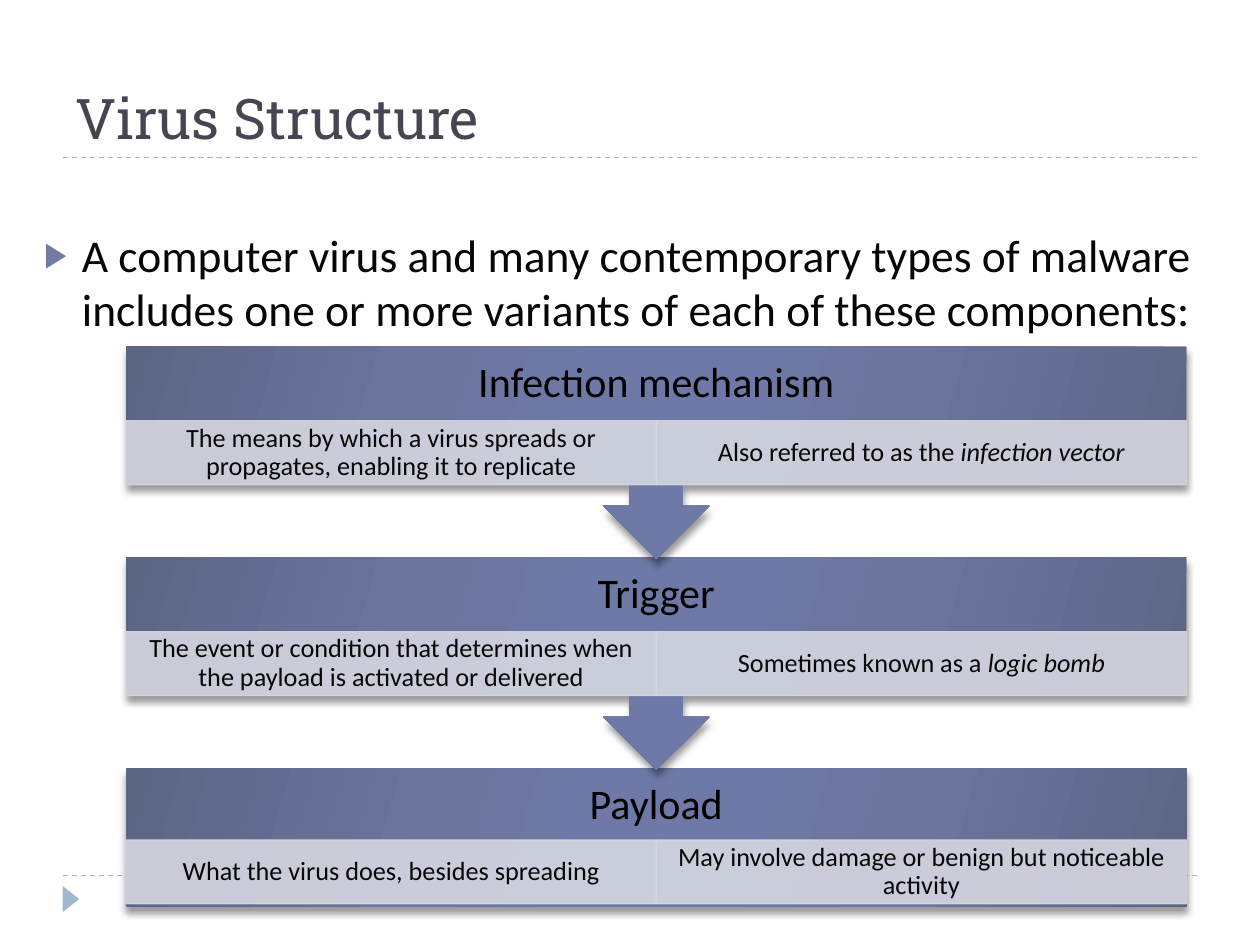
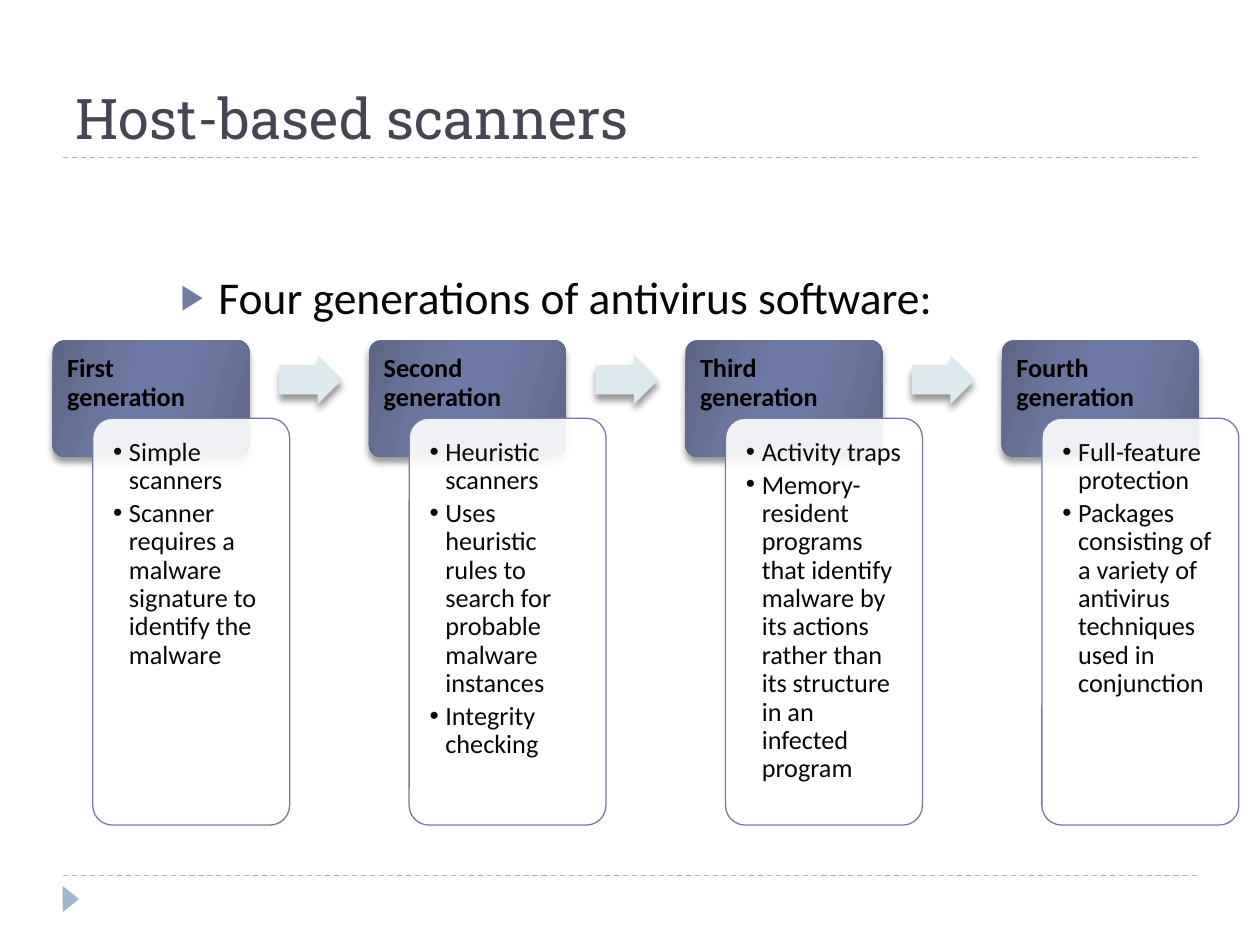
from lxml import etree
from pptx import Presentation
from pptx.dml.color import RGBColor
from pptx.enum.dml import MSO_LINE
from pptx.enum.shapes import MSO_CONNECTOR, MSO_SHAPE
from pptx.enum.text import MSO_ANCHOR, MSO_AUTO_SIZE, PP_ALIGN
from pptx.oxml.ns import qn
from pptx.util import Pt

RECT, ROUND = MSO_SHAPE.RECTANGLE, MSO_SHAPE.ROUNDED_RECTANGLE
CALLOUT, ARROW = MSO_SHAPE.UP_ARROW_CALLOUT, MSO_SHAPE.RIGHT_ARROW
TRIANGLE = MSO_SHAPE.ISOSCELES_TRIANGLE
TOP, MIDDLE, BOTTOM = MSO_ANCHOR.TOP, MSO_ANCHOR.MIDDLE, MSO_ANCHOR.BOTTOM
LEFT, CENTER = PP_ALIGN.LEFT, PP_ALIGN.CENTER

BLACK = RGBColor(0x00, 0x00, 0x00)
WHITE = RGBColor(0xFF, 0xFF, 0xFF)
INK = RGBColor(0x07, 0x07, 0x08)
TITLE_INK = RGBColor(0x46, 0x46, 0x53)
RULE = RGBColor(0x9F, 0xB8, 0xCD)
ACCENT = RGBColor(0x72, 0x7C, 0xA3)
CELL = RGBColor(0xD5, 0xD7, 0xE0)
PALE = RGBColor(0xDD, 0xE9, 0xEC)
EDGE = RGBColor(0x5D, 0x65, 0x85)
INNER = RGBColor(0x6B, 0x75, 0x9E)
CORE = RGBColor(0x6E, 0x79, 0xA7)
GRADIENT = [(0, EDGE), (30, INNER), (45, CORE), (55, CORE), (73, INNER), (100, EDGE)]

TITLE_FONT, BODY_FONT = "Roboto Slab", "Calibri"

# Each part: heading and two details; a detail is plain text plus italic text
VIRUS_PARTS = [
    ("Infection mechanism",
     [("The means by which a virus spreads or propagates, enabling it to replicate", ""),
      ("Also referred to as the ", "infection vector")]),
    ("Trigger",
     [("The event or condition that determines when the payload is activated or delivered", ""),
      ("Sometimes known as a ", "logic bomb")]),
    ("Payload",
     [("What the virus does, besides spreading", ""),
      ("May involve damage or benign but noticeable activity", "")]),
]
GENERATIONS = [
    ("First generation",
     ["Simple scanners",
      "Scanner requires a malware signature to identify the malware"]),
    ("Second generation",
     ["Heuristic scanners",
      "Uses heuristic rules to search for probable malware instances",
      "Integrity checking"]),
    ("Third generation",
     ["Activity traps",
      "Memory-resident programs that identify malware by its actions "
      "rather than its structure in an infected program"]),
    ("Fourth generation",
     ["Full-feature protection",
      "Packages consisting of a variety of antivirus techniques used in conjunction"]),
]


# XML helpers
def sub(parent, tag, **attrs):
    el = etree.SubElement(parent, qn(tag))
    for name, value in attrs.items():
        el.set(name, str(value))
    return el


def set_alpha(fill_parent, percent):
    color = fill_parent.find(qn("a:solidFill"))[0]
    sub(color, "a:alpha", val=percent * 1000)


def set_gradient(sp):
    sp.fill.gradient()
    grad = sp._element.spPr.find(qn("a:gradFill"))
    stops = grad.find(qn("a:gsLst"))
    for gs in list(stops):
        stops.remove(gs)
    for pos, color in GRADIENT:
        gs = sub(stops, "a:gs", pos=pos * 1000)
        sub(gs, "a:srgbClr", val=color)
    grad.find(qn("a:lin")).set("ang", str(16 * 60000))


def set_shadow(sp):
    effects = sp._element.spPr.find(qn("a:effectLst"))
    shadow = sub(effects, "a:outerShdw", blurRad=Pt(4), dist=Pt(3.4),
                 dir=90 * 60000, rotWithShape=0)
    sub(sub(shadow, "a:srgbClr", val=BLACK), "a:alpha", val=40000)


def set_bullet(p, char, indent, color=None, percent=100):
    pPr = p._p.get_or_add_pPr()
    pPr.set("marL", str(Pt(indent)))
    pPr.set("indent", str(-Pt(indent)))
    if color is not None:
        sub(sub(pPr, "a:buClr"), "a:srgbClr", val=color)
    sub(pPr, "a:buSzPct", val=percent * 1000)
    sub(pPr, "a:buFont", typeface="Arial")
    sub(pPr, "a:buChar", char=char)


# Elements
def place(sp, x, y, w, h):
    sp.left, sp.top, sp.width, sp.height = Pt(x), Pt(y), Pt(w), Pt(h)


def set_frame(tf, anchor, side, top=0):
    tf.word_wrap = True
    tf.auto_size = MSO_AUTO_SIZE.NONE
    tf.vertical_anchor = anchor
    tf.margin_left = tf.margin_right = Pt(side)
    tf.margin_top = tf.margin_bottom = Pt(top)


def set_font(p, size, color, name=BODY_FONT, bold=False):
    f = p.font
    f.name, f.size, f.bold = name, Pt(size), bold
    f.color.rgb = color


def add_shape(s, kind, x, y, w, h, fill=None, line=None, alpha=None, shadow=False):
    """Draw a preset shape; without a fill colour it gets the blue gradient."""
    sp = s.shapes.add_shape(kind, Pt(x), Pt(y), Pt(w), Pt(h))
    sp.shadow.inherit = False
    if fill is None:
        set_gradient(sp)
    else:
        sp.fill.solid()
        sp.fill.fore_color.rgb = fill
        if alpha:
            set_alpha(sp._element.spPr, alpha)
    if line is None:
        sp.line.fill.background()
    else:
        sp.line.color.rgb = line
        sp.line.width = Pt(0.75)
    if shadow:
        set_shadow(sp)
    return sp


def add_rule(s, y):
    rule = s.shapes.add_connector(MSO_CONNECTOR.STRAIGHT, Pt(36), Pt(y), Pt(684), Pt(y))
    rule.line.color.rgb = RULE
    rule.line.width = Pt(0.75)
    rule.line.dash_style = MSO_LINE.DASH
    sub(rule._element.spPr, "a:effectLst")


def add_slide(prs, title, lead, lead_box):
    """Start a slide with the rules, corner marker, title and lead bullet."""
    s = prs.slides.add_slide(prs.slide_layouts[1])
    add_rule(s, 500.4)
    add_rule(s, 90)
    add_shape(s, TRIANGLE, 33, 509, 15, 9.5, RULE).rotation = 90

    place(s.shapes.title, 36, 12, 648, 78)
    tf = s.shapes.title.text_frame
    set_frame(tf, BOTTOM, 7.2, 3.6)
    p = tf.paragraphs[0]
    p.text, p.alignment = title, LEFT
    set_font(p, 32, TITLE_INK, TITLE_FONT)

    body = s.placeholders[1]
    place(body, *lead_box)
    tf = body.text_frame
    set_frame(tf, TOP, 7.2, 3.6)
    p = tf.paragraphs[0]
    p.text, p.space_before = lead, Pt(6)
    set_bullet(p, "▶", 21.6, ACCENT, 76)
    set_font(p, 26, INK)
    return s


def add_detail(s, x, y, w, h, plain, italic):
    cell = add_shape(s, RECT, x, y, w, h, CELL, CELL, alpha=90)
    set_alpha(cell._element.spPr.find(qn("a:ln")), 90)
    tf = cell.text_frame
    set_frame(tf, MIDDLE, 8.4, 1.5)
    p = tf.paragraphs[0]
    p.alignment, p.line_spacing = CENTER, 0.9
    set_font(p, 15, INK)
    p.add_run().text = plain
    if italic:
        r = p.add_run()
        r.text, r.font.italic = italic, True


def add_virus_part(s, y, heading, details, last):
    x, w = 72, 606
    head_h = 41 if last else 42.5
    if last:
        add_shape(s, RECT, x, y, w, 79, shadow=True)
    else:
        add_shape(s, CALLOUT, x, y, w, 121.5, shadow=True).rotation = 180

    tf = s.shapes.add_textbox(Pt(x), Pt(y), Pt(w), Pt(42.5)).text_frame
    set_frame(tf, MIDDLE, 13.5)
    p = tf.paragraphs[0]
    p.text, p.alignment, p.line_spacing = heading, CENTER, 0.9
    set_font(p, 24, BLACK)

    for i, (plain, italic) in enumerate(details):
        add_detail(s, x + i * w / 2, y + head_h, w / 2, 36.5, plain, italic)


def add_generation(s, x, heading, points, last):
    w = 112.5
    head = add_shape(s, ROUND, x, 194.5, w, 66.5, shadow=True)
    head.adjustments[0] = 0.1
    tf = head.text_frame
    set_frame(tf, TOP, 6.5, 6.5)
    p = tf.paragraphs[0]
    p.text, p.alignment, p.line_spacing = heading, LEFT, 0.9
    set_font(p, 15, BLACK, bold=True)

    card = add_shape(s, ROUND, x + 23, 239, w, 232.5, WHITE, ACCENT, alpha=90)
    card.adjustments[0] = 0.1
    tf = card.text_frame
    set_frame(tf, TOP, 8.4, 8.4)
    for i, point in enumerate(points):
        p = tf.add_paragraph() if i else tf.paragraphs[0]
        p.text, p.alignment = point, LEFT
        p.line_spacing, p.space_after = 0.9, Pt(2.5)
        set_bullet(p, "•", 9)
        set_font(p, 15, INK)

    if not last:
        arrow = add_shape(s, ARROW, x + 129.5, 203, 36, 28, PALE, shadow=True)
        arrow.adjustments[0] = 0.6


def main():
    prs = Presentation()
    prs.slide_width, prs.slide_height = Pt(720), Pt(540)

    # Virus structure: drawn bottom up so each arrow tip lies over the next part
    s = add_slide(prs, "Virus Structure",
                  "A computer virus and many contemporary types of malware includes "
                  "one or more variants of each of these components:",
                  (18, 126, 690, 360))
    bottom = len(VIRUS_PARTS) - 1
    for i in range(bottom, -1, -1):
        add_virus_part(s, 198 + i * 120.5, *VIRUS_PARTS[i], last=i == bottom)

    # Generations of scanners, left to right
    s = add_slide(prs, "Host-based scanners", "Four generations of antivirus software:",
                  (96, 150, 597, 372))
    for i, (heading, points) in enumerate(GENERATIONS):
        add_generation(s, 30 + i * 180.8, heading, points, i == len(GENERATIONS) - 1)

    prs.save("out.pptx")


if __name__ == "__main__":
    main()
